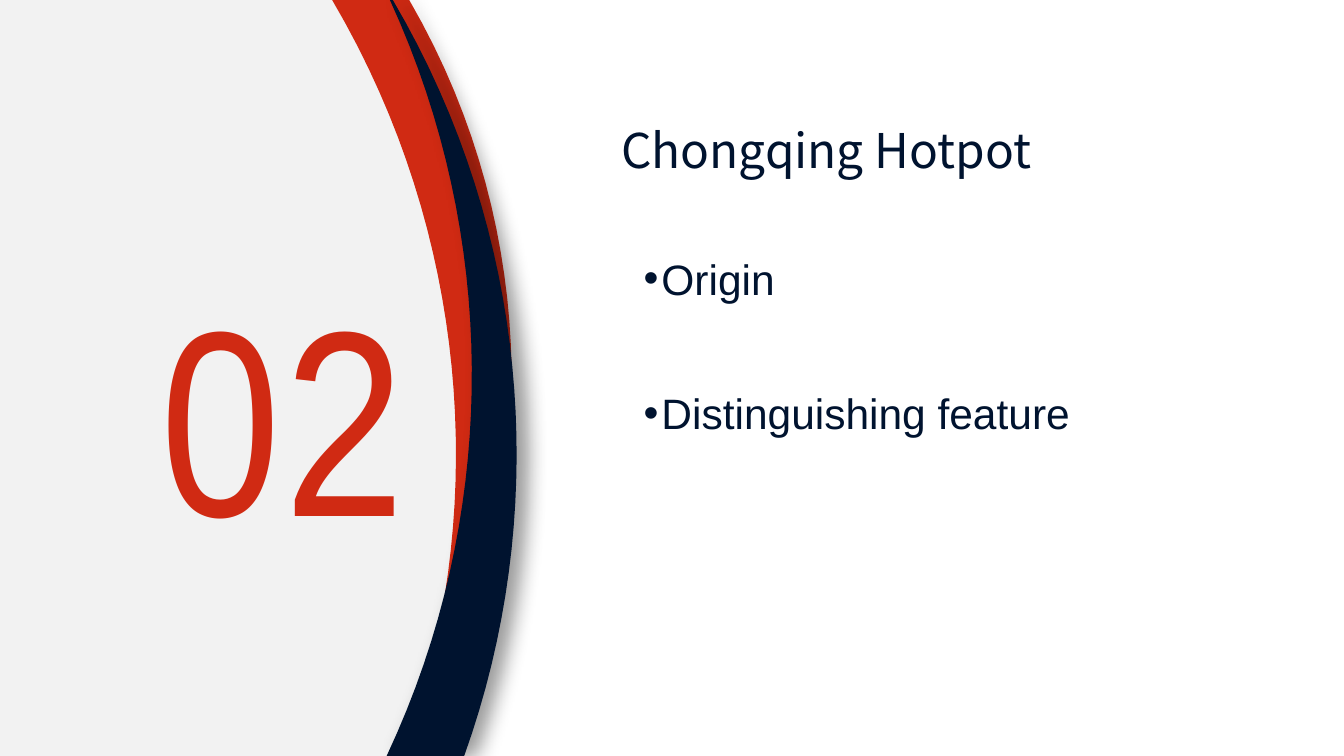
from math import sqrt

from lxml.etree import SubElement
from pptx import Presentation
from pptx.dml.color import RGBColor
from pptx.enum.text import MSO_ANCHOR, MSO_AUTO_SIZE, PP_ALIGN
from pptx.oxml.ns import qn
from pptx.util import Pt

PX = 9525
WIDTH, HEIGHT = 1350, 759
ARC_STEP = 23

GREY = RGBColor(0xF2, 0xF2, 0xF2)
RED = RGBColor(0xD0, 0x2A, 0x13)
NAVY = RGBColor(0x00, 0x13, 0x2F)
WHITE = RGBColor(0xFF, 0xFF, 0xFF)


def arc(apex_x, apex_y, radius):
    """Points, top to bottom, of a circle's right side across the slide height."""
    return [
        (round((apex_x - radius + sqrt(radius**2 - (y - apex_y) ** 2)) * PX), y * PX)
        for y in range(0, HEIGHT + 1, ARC_STEP)
    ]


def add_text(frame, text, font_name, size, color):
    frame.word_wrap = True
    frame.vertical_anchor = MSO_ANCHOR.TOP
    paragraph = frame.paragraphs[0]
    run = paragraph.add_run()
    run.text = text
    run.font.name = font_name
    run.font.size = Pt(size)
    run.font.color.rgb = color
    return paragraph


deck = Presentation()
deck.slide_width, deck.slide_height = WIDTH * PX, HEIGHT * PX
slide = deck.slides.add_slide(deck.slide_layouts[5])
slide.background.fill.solid()
slide.background.fill.fore_color.rgb = WHITE

# Curved bands, each between a left and a right edge
left_margin = [(0, 0), (0, HEIGHT * PX)]
bands = [
    (left_margin, arc(472, 376, 1020), GREY),
    (arc(458, 456, 898), arc(514, 382, 760), RED),
    (arc(474, 376, 900), arc(519, 456, 898), NAVY),
]
for left_edge, right_edge, color in bands:
    outline = left_edge + right_edge[::-1]
    builder = slide.shapes.build_freeform(*outline[0])
    builder.add_line_segments(outline[1:], close=True)
    band = builder.convert_to_shape()
    band.shadow.inherit = False
    band.fill.solid()
    band.fill.fore_color.rgb = color
    band.line.fill.background()

# The front navy band casts a shadow to the right
effects = band.element.spPr.find(qn("a:effectLst"))
shadow = SubElement(effects, qn("a:outerShdw"), blurRad=str(Pt(15)),
                    dist=str(Pt(8)), dir="0", algn="l", rotWithShape="0")
shadow_color = SubElement(shadow, qn("a:srgbClr"), val="000000")
SubElement(shadow_color, qn("a:alpha"), val="40000")

title = slide.shapes.title
title.left, title.top, title.width, title.height = (n * PX for n in (624, 128, 560, 61))
heading = title.text_frame
heading.margin_left = heading.margin_top = heading.margin_right = heading.margin_bottom = 0
heading.auto_size = MSO_AUTO_SIZE.NONE
heading_line = add_text(heading, "Chongqing Hotpot", "Noto Sans CJK SC", 36, NAVY)
heading_line.alignment = PP_ALIGN.LEFT
heading_line.line_spacing = 0.9

number_box = slide.shapes.add_textbox(*(n * PX for n in (129, 249, 311, 331)))
number = add_text(number_box.text_frame, "02", "Arial Narrow", 199, RED)
number.alignment = PP_ALIGN.CENTER
space_before = SubElement(number._p.get_or_add_pPr(), qn("a:spcBef"))
SubElement(space_before, qn("a:spcPct"), val="20000")
number.runs[0].font._element.set("spc", "300")

for topic, top, width in [("Origin", 249, 193), ("Distinguishing feature", 384, 468)]:
    topic_box = slide.shapes.add_textbox(*(n * PX for n in (637, top, width, 60)))
    item = add_text(topic_box.text_frame, topic, "Arial", 32, NAVY)
    item.level = 1
    properties = item._p.get_or_add_pPr()
    properties.set("marL", str(18 * PX))
    properties.set("indent", str(-18 * PX))
    SubElement(properties, qn("a:buFont"), typeface="Arial")
    SubElement(properties, qn("a:buChar"), char="•")

deck.save("out.pptx")
